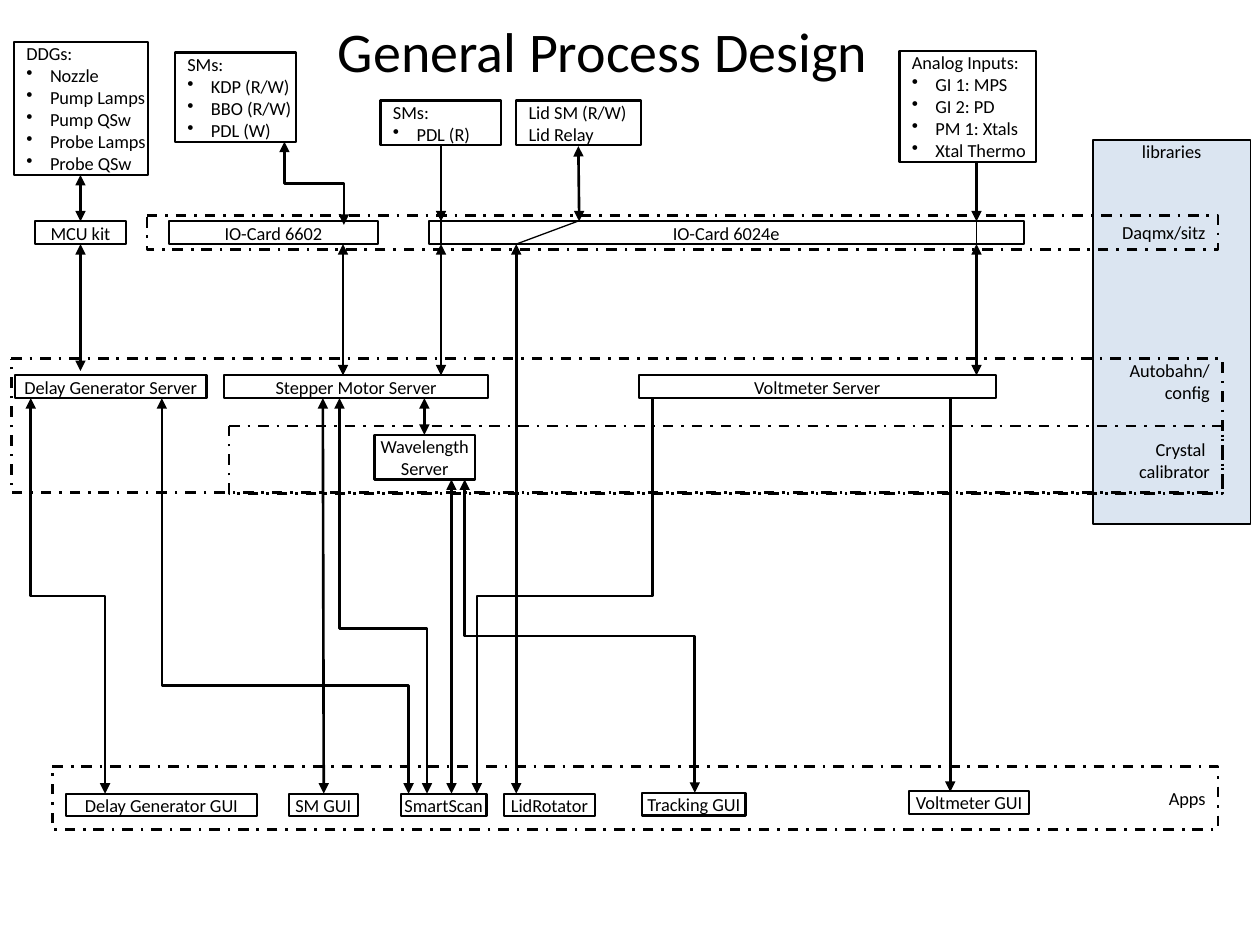
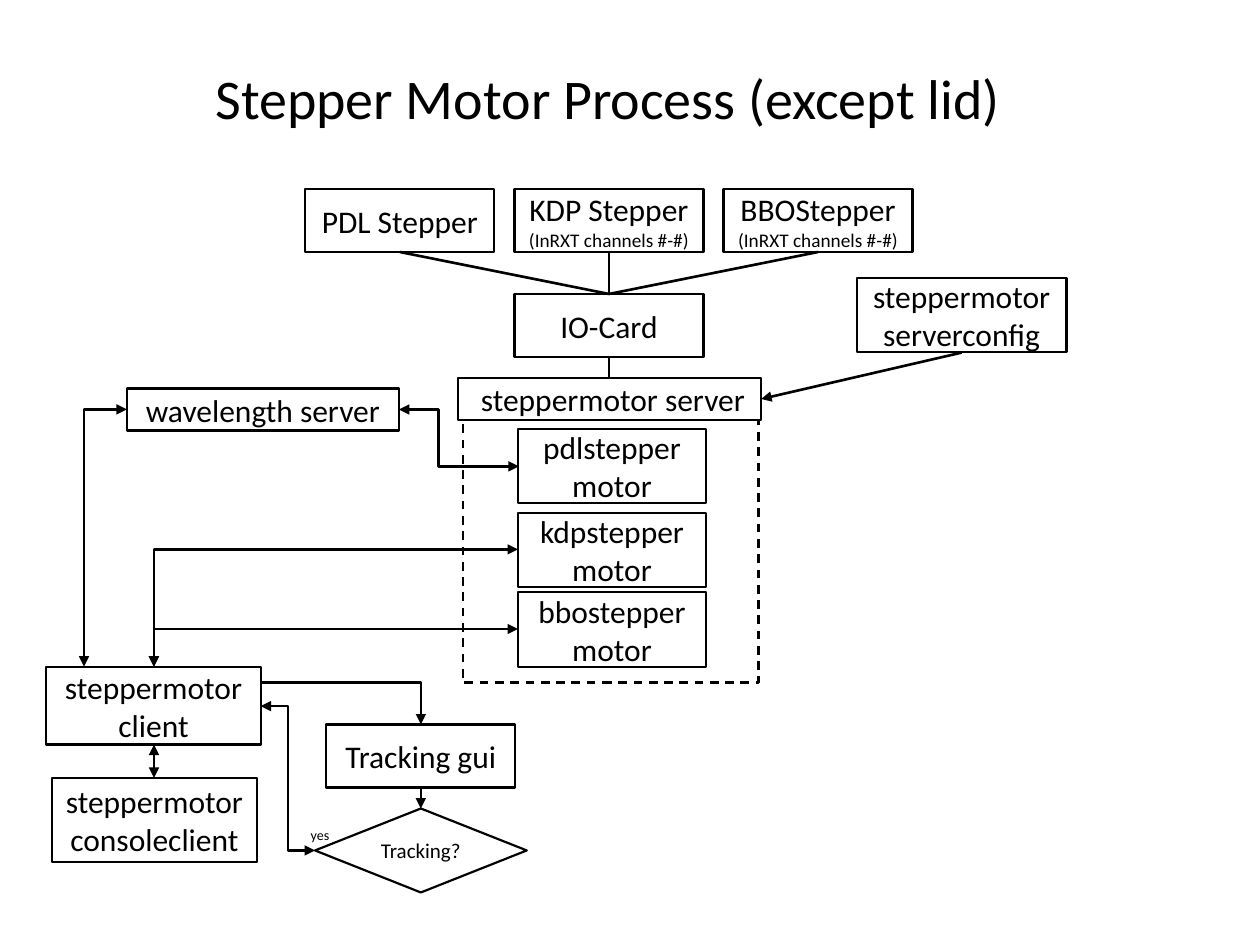
from dataclasses import dataclass

from lxml import etree
from pptx import Presentation
from pptx.dml.color import RGBColor
from pptx.enum.dml import MSO_LINE
from pptx.enum.shapes import MSO_CONNECTOR, MSO_SHAPE
from pptx.enum.text import MSO_ANCHOR, PP_ALIGN
from pptx.oxml.ns import qn
from pptx.util import Pt

PROCESS = MSO_SHAPE.FLOWCHART_PROCESS
DECISION = MSO_SHAPE.FLOWCHART_DECISION
RECTANGLE = MSO_SHAPE.RECTANGLE
STRAIGHT, ELBOW = MSO_CONNECTOR.STRAIGHT, MSO_CONNECTOR.ELBOW
LEFT, CENTER, RIGHT = PP_ALIGN.LEFT, PP_ALIGN.CENTER, PP_ALIGN.RIGHT
TOP, MIDDLE = MSO_ANCHOR.TOP, MSO_ANCHOR.MIDDLE
DASH, DASH_DOT = MSO_LINE.DASH, MSO_LINE.DASH_DOT

BOTH, START, END, PLAIN = ("headEnd", "tailEnd"), ("headEnd",), ("tailEnd",), ()
TIGHT = (0, 0, 0, 0)
LIST_INSETS = (7.2, 0, 0, 0)
ZONE_INSETS = (0, 0, 7.2, 0)
ROOMY = (7.2, 3.6, 7.2, 3.6)


@dataclass(frozen=True)
class Theme:
    """Colours, font, type sizes and line widths of both slides."""
    ink: RGBColor = RGBColor(0, 0, 0)
    library_fill: RGBColor = RGBColor(0x4F, 0x81, 0xBD)
    library_alpha: int = 20000
    font: str = "Calibri"
    title: float = 32
    step: float = 18
    decision: float = 12
    channel: float = 11
    label: float = 10.5
    branch: float = 8
    border: float = 1.25
    flow: float = 1.5
    hairline: float = 0.75
    indent: float = 13.5


THEME = Theme()


def write(frame, lines, size, align=LEFT, anchor=TOP, insets=ROOMY,
          bulleted=False, small=None):
    """Write lines as paragraphs; bullets and the small size skip the first."""
    frame.word_wrap = True
    frame.vertical_anchor = anchor
    (frame.margin_left, frame.margin_top,
     frame.margin_right, frame.margin_bottom) = map(Pt, insets)
    for index, line in enumerate(lines):
        paragraph = frame.add_paragraph() if index else frame.paragraphs[0]
        paragraph.text = line
        paragraph.alignment = align
        font = paragraph.font
        font.name, font.size = THEME.font, Pt(small if index and small else size)
        font.color.rgb = THEME.ink
        if bulleted and index:
            properties = paragraph._p.get_or_add_pPr()
            properties.set("marL", str(Pt(THEME.indent)))
            properties.set("indent", str(-Pt(THEME.indent)))
            bullet = etree.Element(qn("a:buChar"), char="•")
            properties.insert(0, bullet)


def outline(slide, bounds, kind=PROCESS, width=THEME.border, dash=None):
    """Add an unfilled shape with a black outline."""
    shape = slide.shapes.add_shape(kind, *map(Pt, bounds))
    shape.shadow.inherit = False
    shape.fill.background()
    shape.line.color.rgb = THEME.ink
    shape.line.width = Pt(width)
    if dash:
        shape.line.dash_style = dash
    return shape


def caption(slide, bounds, text, size):
    """Add free text without an outline."""
    write(slide.shapes.add_textbox(*map(Pt, bounds)).text_frame, [text], size)


def node(slide, bounds, *lines):
    """Add a centred label box of the overview."""
    write(outline(slide, bounds).text_frame, lines, THEME.label,
          CENTER, MIDDLE, TIGHT)


def device(slide, bounds, *lines, bulleted=True):
    """Add a left-aligned device box: a heading and its channels."""
    write(outline(slide, bounds).text_frame, lines, THEME.label,
          LEFT, MIDDLE, LIST_INSETS, bulleted)


def zone(slide, bounds, *lines, anchor=MIDDLE):
    """Add a dash-dotted layer labelled at its right edge."""
    write(outline(slide, bounds, width=THEME.flow, dash=DASH_DOT).text_frame,
          lines, THEME.label, RIGHT, anchor, ZONE_INSETS)


def libraries_panel(slide, bounds):
    """Add the translucent column behind the library names."""
    panel = outline(slide, bounds, width=1)
    panel.fill.solid()
    panel.fill.fore_color.rgb = THEME.library_fill
    colour = panel._element.spPr.find(qn("a:solidFill"))[0]
    etree.SubElement(colour, qn("a:alpha"), val=str(THEME.library_alpha))
    write(panel.text_frame, ["libraries"], THEME.label, CENTER, TOP, TIGHT)


def step(slide, bounds, *lines, kind=PROCESS, size=THEME.step):
    """Add a box of the stepper motor flow."""
    write(outline(slide, bounds, kind).text_frame, lines, size,
          CENTER, MIDDLE, small=THEME.channel)


def finish(connector, heads, width=THEME.flow):
    """Style a connector and give it its arrowheads."""
    connector.line.color.rgb = THEME.ink
    connector.line.width = Pt(width)
    for head in heads:
        etree.SubElement(connector.line._get_or_add_ln(), qn("a:" + head),
                         type="triangle")
    etree.SubElement(connector._element.spPr, qn("a:effectLst"))


def link(slide, x1, y1, x2, y2, heads=BOTH, width=THEME.flow):
    """Add a straight connector."""
    ends = map(Pt, (x1, y1, x2, y2))
    finish(slide.shapes.add_connector(STRAIGHT, *ends), heads, width)


def elbow(slide, x1, y1, x2, y2, heads=BOTH, bend=0.5, upright=True):
    """Add a bent connector; upright ones leave vertically, by a quarter turn.

    The bend is the share of the way at which it turns; None means one corner.
    """
    turn = 0
    if upright:
        turn = -1 if (x2 - x1) * (y2 - y1) > 0 else 1
        mid_x, mid_y = (x1 + x2) / 2, (y1 + y2) / 2
        x1, y1, x2, y2 = (mid_x + turn * (y1 - mid_y), mid_y - turn * (x1 - mid_x),
                          mid_x + turn * (y2 - mid_y), mid_y - turn * (x2 - mid_x))
    connector = slide.shapes.add_connector(ELBOW, *map(Pt, (x1, y1, x2, y2)))
    properties = connector._element.spPr
    if turn:
        properties.find(qn("a:xfrm")).set("rot", str(turn % 4 * 5400000))
    geometry = properties.find(qn("a:prstGeom"))
    if bend is None:
        geometry.set("prst", "bentConnector2")
    else:
        etree.SubElement(geometry.find(qn("a:avLst")), qn("a:gd"),
                         name="adj1", fmla=f"val {round(bend * 100000)}")
    finish(connector, heads)


def general_design(slide):
    """Draw the overview from devices down to apps."""
    row = 13
    cards, servers, apps = 126.5, 214.5, 453.5
    cards_end, servers_end = cards + row, servers + row
    wavelength_top, wavelength_end = 248.5, 274

    caption(slide, (186, 6, 324, 46), "General Process Design", THEME.title)
    device(slide, (8, 24, 76.5, 76), "DDGs:", "Nozzle", "Pump Lamps",
           "Pump QSw", "Probe Lamps", "Probe QSw")
    device(slide, (100, 30, 69, 51), "SMs:", "KDP (R/W)", "BBO (R/W)", "PDL (W)")
    device(slide, (217.5, 57.5, 69, 25.5), "SMs:", "PDL (R)")
    device(slide, (295, 57.5, 71.5, 25.5), "Lid SM (R/W)", "Lid Relay",
           bulleted=False)
    device(slide, (514, 29, 78, 63.5), "Analog Inputs:", "GI 1: MPS",
           "GI 2: PD", "PM 1: Xtals", "Xtal Thermo")

    libraries_panel(slide, (624.5, 80, 90, 219.5))
    zone(slide, (84, 123, 612, 19.5), "Daqmx/sitz")
    zone(slide, (6.5, 205, 692, 76.5), "Autobahn/", "config", anchor=TOP)
    zone(slide, (131, 243.5, 567.5, 38.5), "Crystal ", "calibrator")
    zone(slide, (30, 438, 666, 36), "Apps")

    for left, top, width, name in (
            (20, cards, 52, "MCU kit"),
            (96.5, cards, 119.5, "IO-Card 6602"),
            (245, cards, 340, "IO-Card 6024e"),
            (8.5, servers, 109.5, "Delay Generator Server"),
            (128, servers, 151, "Stepper Motor Server"),
            (365, servers, 204, "Voltmeter Server"),
            (37.5, apps, 109.5, "Delay Generator GUI"),
            (165, apps, 39.5, "SM GUI"),
            (229, apps, 49, "SmartScan"),
            (288, apps, 52, "LidRotator"),
            (367, apps - 0.5, 59, "Tracking GUI"),
            (519.5, apps - 1.5, 68.5, "Voltmeter GUI")):
        node(slide, (left, top, width, row), name)
    node(slide, (214, wavelength_top, 57.5, 25.5), "Wavelength", "Server")

    for x1, y1, x2, y2, heads in (
            (46, 100, 46, cards, BOTH),
            (252, 83, 252, cards, END),
            (330.5, 83.5, 331, cards, BOTH),
            (558, 92.5, 558, cards, END),
            (46, cards_end, 46, 212, BOTH),
            (196, cards_end, 196, servers, BOTH),
            (252, cards_end, 252, servers, BOTH),
            (558, cards_end, 558, servers, BOTH),
            (295, cards_end, 295, apps, BOTH),
            (242.5, servers_end, 242.5, wavelength_top, BOTH),
            (184.5, servers_end, 185, apps, BOTH),
            (258, wavelength_end, 258, apps, BOTH),
            (543, servers_end, 543, apps - 1, END)):
        link(slide, x1, y1, x2, y2, heads)
    for x1, x2 in ((330, 295), (252, 252), (558, 558)):
        link(slide, x1, cards, x2, cards_end, PLAIN, THEME.hairline)

    elbow(slide, 162.5, 81, 196.5, 128.5)
    elbow(slide, 373, servers_end, 272.5, apps, END)
    elbow(slide, 17.5, servers_end, 60, apps)
    elbow(slide, 92.5, servers_end, 233.5, apps, bend=0.726)
    elbow(slide, 194, servers_end, 244, apps, bend=0.583)
    elbow(slide, 265.5, wavelength_end, 397, apps - 0.5)


def stepper_motor_process(slide):
    """Draw the stepper motor flow from steppers to tracking."""
    channels = "(InRXT channels #-#)"
    card_x, stepper_gap = 348, 119.5
    client_x, gui_x = 88, 240.5

    caption(slide, (116, 33, 468, 46), "Stepper Motor Process (except lid)",
            THEME.title)
    steppers = (("PDL Stepper",), ("KDP Stepper", channels),
                ("BBOStepper", channels))
    for place, lines in enumerate(steppers, start=-1):
        center = card_x + place * stepper_gap
        step(slide, (center - 54, 108, 108, 36), *lines)
        link(slide, center, 144, card_x, 168, PLAIN)
    step(slide, (card_x - 54, 168, 108, 36), "IO-Card")
    link(slide, card_x, 204, card_x, 216, PLAIN)

    outline(slide, (264.5, 240, 169, 150), RECTANGLE, dash=DASH)
    for top, name in ((245, "pdl"), (293, "kdp"), (338.5, "bbo")):
        step(slide, (296, top, 107.5, 42.5), name + "stepper\vmotor")
    for bounds, name in (
            ((261.5, 216, 173.5, 24), " steppermotor server"),
            ((489.5, 159, 120, 42), "steppermotor\vserverconfig"),
            ((72.5, 222, 155.5, 24), "wavelength server"),
            ((26.5, 381, 122.5, 44.5), "steppermotor\vclient"),
            ((29.5, 444.5, 117.5, 48), "steppermotor\vconsoleclient"),
            ((gui_x - 54, 414, 108, 36), "Tracking gui")):
        step(slide, bounds, name)
    step(slide, (gui_x - 60.5, 462, 121, 48), "Tracking?", kind=DECISION,
         size=THEME.decision)
    caption(slide, (170.5, 468.5, 30, 17.5), "yes", THEME.branch)

    link(slide, 435, 228, 549.5, 201.5, START)
    link(slide, gui_x, 462, gui_x, 450, START)
    link(slide, client_x, 444.5, client_x, 425.5)
    elbow(slide, gui_x, 414, 149, 390, START, bend=None)
    for motor_y in (314, 359.5):
        elbow(slide, client_x, 381, 296, motor_y, bend=None)
    elbow(slide, 48, 381, 72.5, 234, bend=None)
    elbow(slide, 228, 234, 296.5, 266.5, bend=0.328, upright=False)
    elbow(slide, 149, 403.5, 180, 486, upright=False)


def main():
    """Build both slides and save them."""
    deck = Presentation()
    deck.slide_width, deck.slide_height = Pt(720), Pt(540)
    for draw in (general_design, stepper_motor_process):
        draw(deck.slides.add_slide(deck.slide_layouts[6]))
    deck.save("out.pptx")


main()
